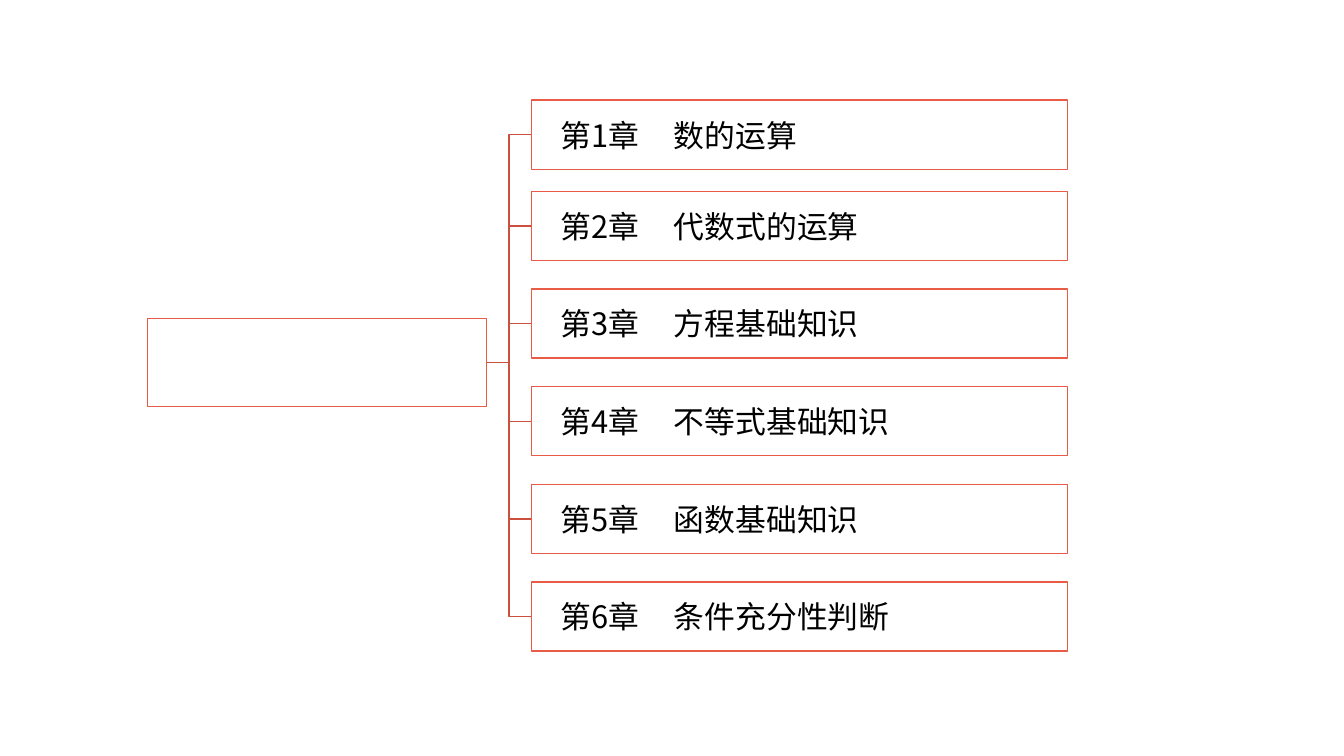
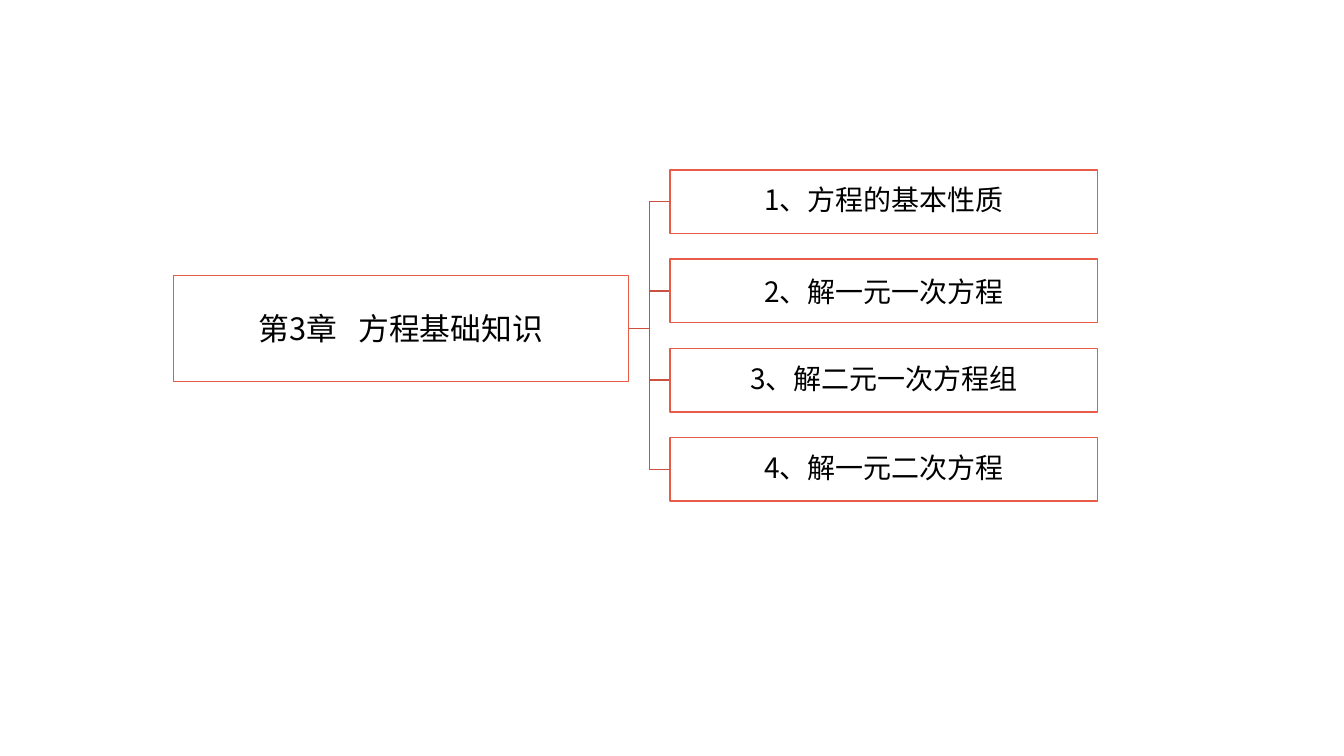
from pptx import Presentation, util as u
from pptx.dml.color import RGBColor
from pptx.enum import shapes, text
from pptx.oxml.ns import qn
from lxml import etree

COLORS = {"box": "FFFFFF", "border": "E75B47", "branch": "CC503E", "text": "000000"}
FONT = "Noto Sans CJK SC"
LINE_WIDTH = u.Pt(2)
INSET = 0.08
RIGHT_SIDE, LEFT_SIDE = 3, 1  # connection sites of a rectangle


def color(name):
    return RGBColor.from_string(COLORS[name])


def format_run(run, size):
    run.font.size = u.Pt(size)
    run.font.name = FONT
    run.font.color.rgb = color("text")
    east_asian = etree.SubElement(run._r.get_or_add_rPr(), qn("a:ea"))
    east_asian.set("typeface", FONT)


def add_box(slide, box, label="", size=44, indent=0.0, gap=0,
            align=text.PP_ALIGN.CENTER, line_spacing=None):
    """Outlined box; a tab in the label becomes one space widened by gap points."""
    node = slide.shapes.add_shape(shapes.MSO_SHAPE.RECTANGLE, *map(u.Cm, box))
    node.shadow.inherit = False
    node.fill.solid()
    node.fill.fore_color.rgb = color("box")
    node.line.color.rgb = color("border")
    node.line.width = LINE_WIDTH
    if not label:
        return node

    frame = node.text_frame
    frame.word_wrap = True
    frame.vertical_anchor = text.MSO_ANCHOR.MIDDLE
    frame.margin_left = u.Cm(INSET + indent)
    frame.margin_right = frame.margin_top = frame.margin_bottom = u.Cm(INSET)
    paragraph = frame.paragraphs[0]
    paragraph.alignment = align
    if line_spacing:
        paragraph.line_spacing = line_spacing
    chapter, tab, title = label.partition("\t")
    for part in filter(None, (chapter, tab and " ", title)):
        run = paragraph.add_run()
        run.text = part
        format_run(run, size)
        if part == " ":
            run._r.get_or_add_rPr().set("spc", str(gap * 100))
    return node


def add_branch(slide, start, end):
    """Elbow line from the root to one child."""
    branch = slide.shapes.add_connector(
        shapes.MSO_CONNECTOR.ELBOW, *map(u.Cm, (*start, *end)))
    branch.line.color.rgb = color("branch")
    branch.line.width = LINE_WIDTH
    etree.SubElement(branch._element.spPr, qn("a:effectLst"))
    return branch


def add_tree(slide, root_box, root_style, child_boxes, child_styles):
    """Root box on the left, joined to a column of child boxes."""
    left, top, width, height = root_box
    start = (left + width, top + height / 2)
    # Branches lie behind the boxes
    branches = [add_branch(slide, start, (x, y + h / 2)) for x, y, _, h in child_boxes]
    root = add_box(slide, root_box, **root_style)
    for branch, box, style in zip(branches, child_boxes, child_styles):
        child = add_box(slide, box, **style)
        branch.begin_connect(root, RIGHT_SIDE)
        branch.end_connect(child, LEFT_SIDE)


def add_course_slide(prs):
    """All chapters of the course."""
    chapters = ["数的运算", "代数式的运算", "方程基础知识",
                "不等式基础知识", "函数基础知识", "条件充分性判断"]
    # The first box sits slightly closer to the evenly spaced rest
    tops = [5.05] + [9.65 + 4.92 * i for i in range(len(chapters) - 1)]
    add_tree(
        prs.slides.add_slide(prs.slide_layouts[6]),
        (7.44, 16.05, 17.07, 4.45), {},
        [(26.8, top, 27, 3.48) for top in tops],
        [dict(label=f"第{number}章\t{title}", indent=1.39, gap=39,
              align=text.PP_ALIGN.LEFT)
         for number, title in enumerate(chapters, 1)])


def add_chapter_slide(prs):
    """Sections of chapter 3, each with its line spacing."""
    sections = [("方程的基本性质", 0.9), ("解一元一次方程", 1.0),
                ("解二元一次方程组", 0.9), ("解一元二次方程", 0.9)]
    add_tree(
        prs.slides.add_slide(prs.slide_layouts[6]),
        (8.74, 13.89, 22.94, 5.33), dict(label="第3章\t方程基础知识", gap=20),
        [(33.76, 8.56 + 4.5 * i, 21.56, 3.2) for i in range(len(sections))],
        [dict(label=f"{number}、{title}", size=40, line_spacing=spacing)
         for number, (title, spacing) in enumerate(sections, 1)])


prs = Presentation()
prs.slide_width, prs.slide_height = u.Cm(67.73), u.Cm(38.1)
add_course_slide(prs)
add_chapter_slide(prs)
prs.save("out.pptx")
